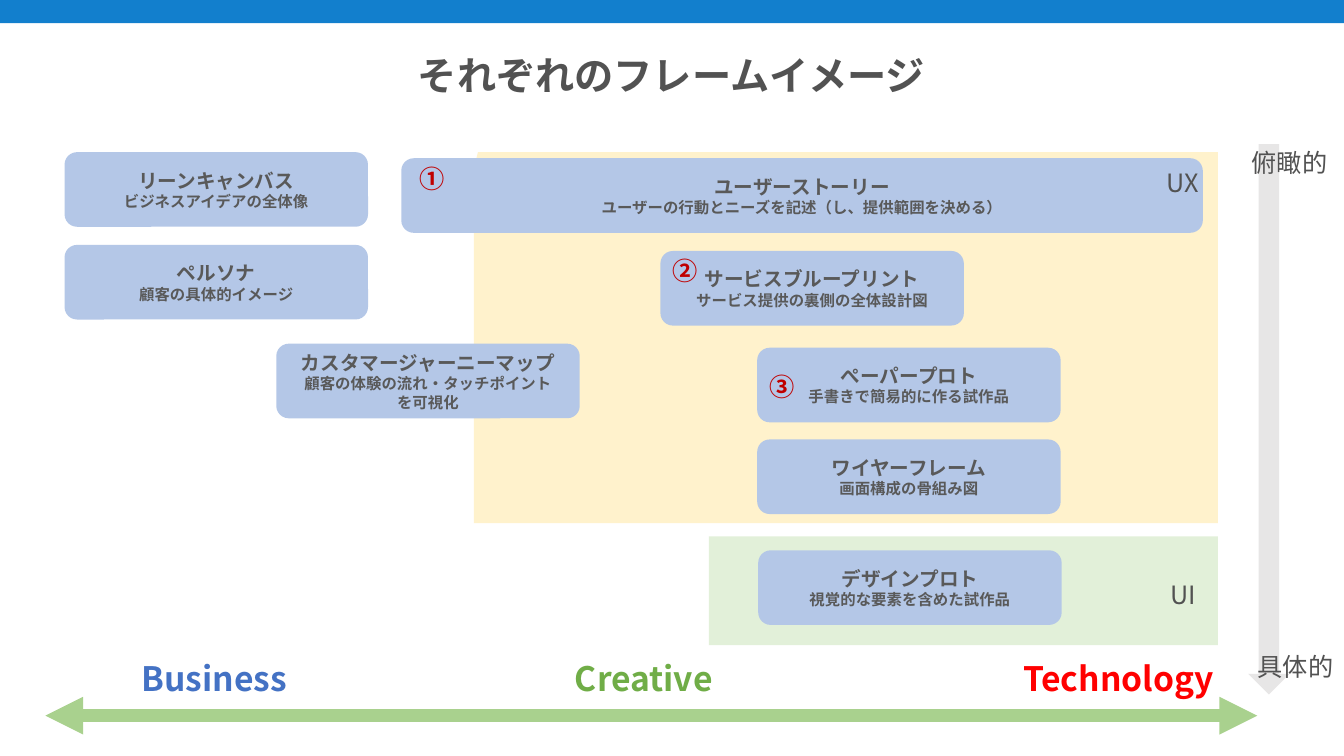
from dataclasses import dataclass

from lxml import etree
from pptx import Presentation
from pptx.dml.color import RGBColor
from pptx.enum.shapes import MSO_CONNECTOR, MSO_SHAPE
from pptx.enum.text import MSO_ANCHOR, PP_ALIGN
from pptx.oxml.ns import qn
from pptx.util import Pt

RECT = MSO_SHAPE.RECTANGLE
ROUND = MSO_SHAPE.ROUNDED_RECTANGLE
DOWN = MSO_SHAPE.DOWN_ARROW
STRAIGHT = MSO_CONNECTOR.STRAIGHT
CENTER = PP_ALIGN.CENTER
TOP, MIDDLE = MSO_ANCHOR.TOP, MSO_ANCHOR.MIDDLE
PX = 9144


@dataclass(frozen=True)
class Theme:
    font: str = "Noto Sans CJK JP"
    bar: str = "127FCD"
    ux: str = "FFF2CC"
    ui: str = "E2F0D9"
    card: str = "B4C7E7"
    card_text: str = "595959"
    text: str = "525252"
    number: str = "C00000"
    business: str = "4472C4"
    creative: str = "70AD47"
    technology: str = "FF0000"
    axis: str = "A9D18E"
    scale: str = "E7E6E6"
    title_size: int = 28
    axis_size: int = 24
    label_size: int = 18
    name_size: int = 14
    note_size: int = 11


THEME = Theme()


def px(*lengths):
    return [length * PX for length in lengths]


def paint(sp, color):
    sp.shadow.inherit = False
    sp.fill.solid()
    sp.fill.fore_color.rgb = RGBColor.from_string(color)
    sp.line.fill.background()


def add_block(s, kind, x, y, w, h, color):
    sp = s.shapes.add_shape(kind, *px(x, y, w, h))
    paint(sp, color)
    return sp


def style(p, size, color, bold):
    p.alignment = CENTER
    for r in p.runs:
        r.font.name = THEME.font
        r.font.size = Pt(size)
        r.font.bold = bold
        r.font.color.rgb = RGBColor.from_string(color)
        ea = etree.SubElement(r.font._element, qn("a:ea"))
        ea.set("typeface", THEME.font)


def add_label(s, text, x, y, w, h, size, color, bold=False, anchor=TOP, wrap=True):
    tf = s.shapes.add_textbox(*px(x, y, w, h)).text_frame
    tf.word_wrap = wrap
    tf.vertical_anchor = anchor
    tf.text = text
    style(tf.paragraphs[0], size, color, bold)
    return tf


def add_card(s, x, y, w, h, name, *notes):
    tf = add_block(s, ROUND, x, y, w, h, THEME.card).text_frame
    tf.word_wrap = True
    tf.vertical_anchor = MIDDLE
    tf.text = "\n".join((name, *notes))
    for i, p in enumerate(tf.paragraphs):
        style(p, THEME.note_size if i else THEME.name_size, THEME.card_text, True)


def add_header(s, x, y, w):
    add_block(s, RECT, x, y, w, 23, THEME.bar)
    tf = add_label(s, "それぞれのフレームイメージ", x + 23, y + 51, 1286, 53,
                   THEME.title_size, THEME.text, True)
    tf.paragraphs[0].line_spacing = 0.9


def add_zones(s, x, y, w, h):
    add_block(s, RECT, x + 233, y + 381, w - 233, 108, THEME.ui)
    fb = s.shapes.build_freeform(x, y + 16, scale=PX)
    fb.add_line_segments([(x, y + h), (x + w, y + h), (x + w, y), (x + 4, y)])
    paint(fb.convert_to_shape(), THEME.ux)


def add_frames(s, x, y):
    w, h = 301, 74
    cards = [
        (591, 98, w, "サービスブループリント", "サービス提供の裏側の全体設計図"),
        (687, 194, w, "ぺーパープロト", "手書きで簡易的に作る試作品"),
        (687, 285, w, "ワイヤーフレーム", "画面構成の骨組み図"),
        (688, 395, w, "デザインプロト", "視覚的な要素を含めた試作品"),
        (334, 6, 795, "ユーザーストーリー", "ユーザーの行動とニーズを記述（し、提供範囲を決める）"),
        (0, 0, w, "リーンキャンバス", "ビジネスアイデアの全体像"),
        (0, 92, w, "ペルソナ", "顧客の具体的イメージ"),
        (210, 190, w, "カスタマージャーニーマップ",
         "顧客の体験の流れ・タッチポイント", "を可視化"),
    ]
    for dx, dy, width, name, *notes in cards:
        add_card(s, x + dx, y + dy, width, h, name, *notes)
    for text, dx, dy, width in (("①", 334, 6, 61), ("②", 587, 97, 57), ("③", 689, 212, 39)):
        add_label(s, text, x + dx, y + dy, width, 40, THEME.label_size, THEME.number, True)
    for text, dy in (("UX", 10), ("UI", 419)):
        add_label(s, text, x + 1057, y + dy, 105, 40, THEME.label_size, THEME.text)


def add_field_axis(s, x, y, w, h):
    fields = (("Business", 59, THEME.business), ("Creative", 485, THEME.creative),
              ("Technology", 956, THEME.technology))
    for text, dx, color in fields:
        add_label(s, text, x + dx, y, 217, 40, THEME.axis_size, color, True, MIDDLE)
    line = s.shapes.add_connector(STRAIGHT, *px(x, y + h, x + w, y + h))
    line.line.color.rgb = RGBColor.from_string(THEME.axis)
    line.line.width = Pt(9)
    ln = line.line._get_or_add_ln()
    for end in ("a:headEnd", "a:tailEnd"):
        etree.SubElement(ln, qn(end)).set("type", "triangle")
    etree.SubElement(line._element.spPr, qn("a:effectLst"))


def add_detail_axis(s, x, y, w, h):
    add_block(s, DOWN, x, y, w, h, THEME.scale)
    for text, dx, dy in (("俯瞰的", -7, -2), ("具体的", -1, h - 48)):
        add_label(s, text, x + dx, y + dy, 96, 40, THEME.label_size, THEME.text, wrap=False)


def main():
    prs = Presentation()
    prs.slide_width, prs.slide_height = px(1333, 750)
    s = prs.slides.add_slide(prs.slide_layouts[6])
    add_header(s, 0, 0, 1333)
    add_zones(s, 470, 151, 738, 368)
    add_frames(s, 64, 151)
    add_field_axis(s, 45, 653, 1202, 57)
    add_detail_axis(s, 1238, 143, 41, 546)
    prs.save("out.pptx")


if __name__ == "__main__":
    main()
